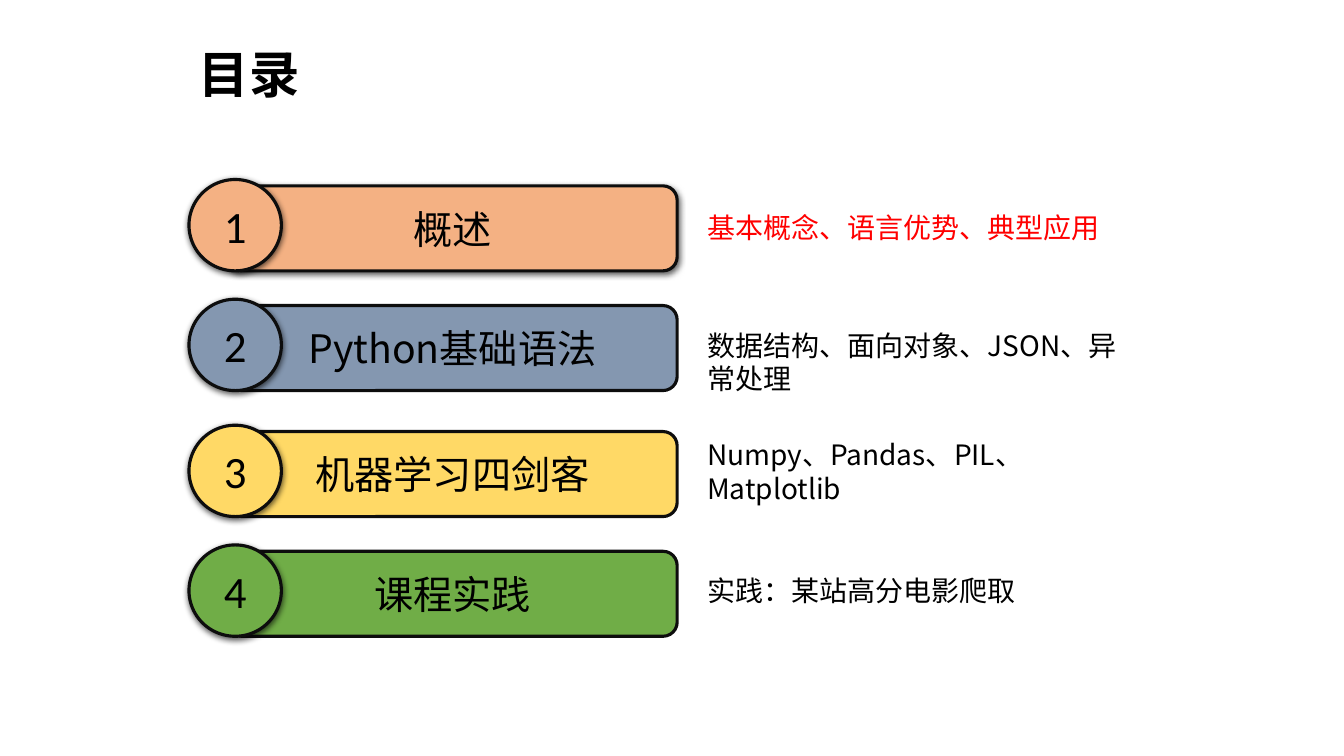
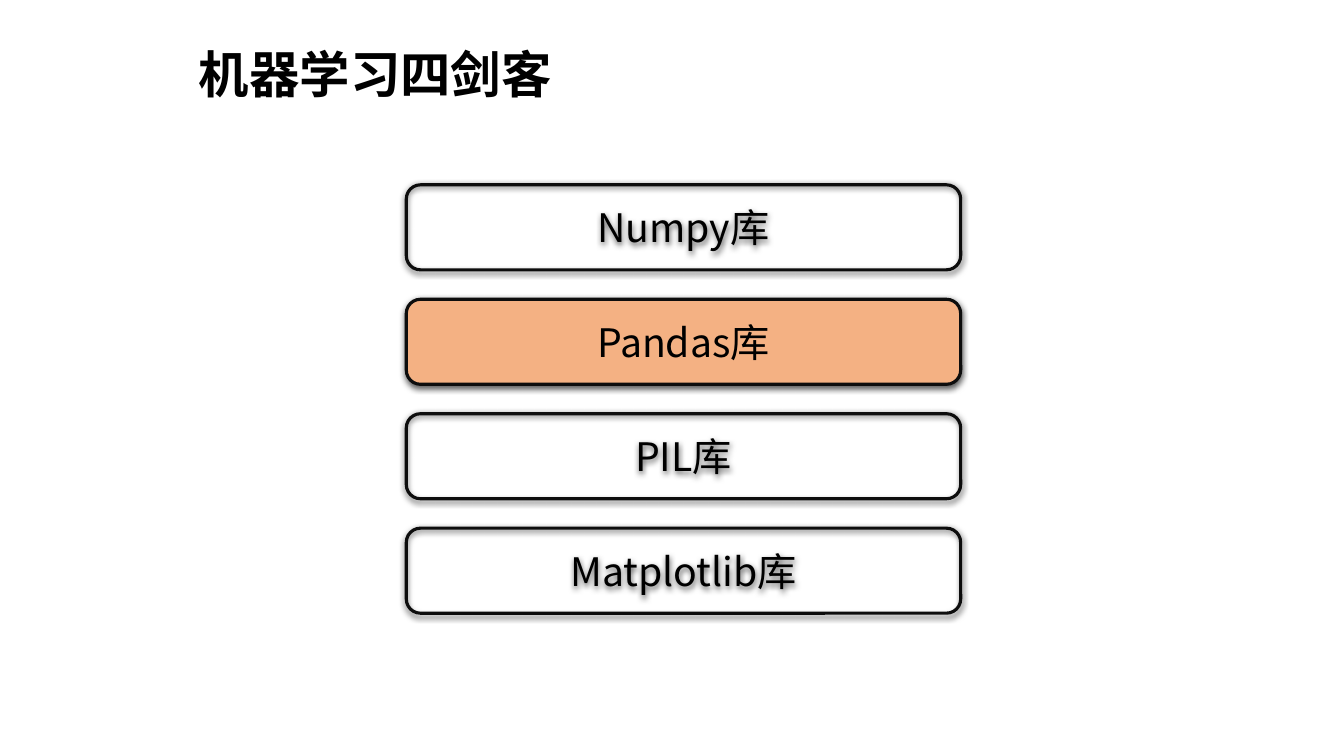
from dataclasses import dataclass

from lxml import etree
from pptx import Presentation
from pptx.dml.color import RGBColor
from pptx.enum.shapes import MSO_SHAPE
from pptx.enum.text import MSO_ANCHOR, MSO_AUTO_SIZE, PP_ALIGN
from pptx.oxml.ns import qn
from pptx.util import Pt

ROUND_RECT = MSO_SHAPE.ROUNDED_RECTANGLE
OVAL = MSO_SHAPE.OVAL
MIDDLE = MSO_ANCHOR.MIDDLE
GROW = MSO_AUTO_SIZE.SHAPE_TO_FIT_TEXT
CENTER = PP_ALIGN.CENTER

PX = 9525  # EMU per px, 96 px to the inch
SLIDE_W, SLIDE_H = 1280, 720
BAR_H = 81

CJK_FONT = "Noto Sans CJK SC"
NUMBER_FONT = "Calibri"
COLORS = {
    "text": "000000",
    "accent": "FF0000",
    "outline": "0D0D0D",
    "shadow": "000000",
    "orange": "F4B183",
    "slate": "8497B0",
    "yellow": "FFD966",
    "green": "70AD47",
}


@dataclass(frozen=True)
class Box:
    left: int
    top: int
    width: int
    height: int

    def emu(self) -> list[int]:
        return [v * PX for v in (self.left, self.top, self.width, self.height)]


@dataclass(frozen=True)
class Chapter:
    name: str
    topics: str
    fill: str
    top: int
    topics_top: int
    topics_height: int
    topics_color: str = "text"
    bar_shadow: bool = False


CHAPTERS = [
    Chapter("概述", "基本概念、语言优势、典型应用", "orange", 177, 196, 42,
            topics_color="accent", bar_shadow=True),
    Chapter("Python基础语法", "数据结构、面向对象、JSON、异常处理", "slate", 291, 308, 74),
    Chapter("机器学习四剑客", "Numpy、Pandas、PIL、 Matplotlib", "yellow", 411, 412, 74),
    Chapter("课程实践", "实践：某站高分电影爬取", "green", 525, 541, 42),
]
LIBRARIES = ["Numpy库", "Pandas库", "PIL库", "Matplotlib库"]
CURRENT_LIBRARY = "Pandas库"


def rgb(name: str) -> RGBColor:
    return RGBColor.from_string(COLORS[name])


def write(tf, text: str, size: int, color: str = "text",
          font: str = CJK_FONT, bold: bool = False) -> None:
    """Put one formatted paragraph in a text frame."""
    tf.word_wrap = True
    tf.text = text
    for r in tf.paragraphs[0].runs:
        r.font.size = Pt(size)
        r.font.name = font
        r.font.bold = bold
        r.font.color.rgb = rgb(color)
        ea = etree.SubElement(r.font._element, qn("a:ea"))
        ea.set("typeface", font)


def add_text(slide, box: Box, text: str, size: int, color: str = "text",
             bold: bool = False) -> None:
    tf = slide.shapes.add_textbox(*box.emu()).text_frame
    write(tf, text, size, color, bold=bold)
    tf.auto_size = GROW


def add_title(slide, text: str, width: int) -> None:
    add_text(slide, Box(180, 36, width, 68), text, 36, bold=True)


def add_shadow(sp) -> None:
    """Give a shape a soft shadow falling straight down."""
    effects = sp._element.spPr.find(qn("a:effectLst"))
    shadow = etree.SubElement(effects, qn("a:outerShdw"), blurRad=str(Pt(4.5)),
                              dist=str(Pt(1.5)), dir="5400000", algn="ctr",
                              rotWithShape="0")
    color = etree.SubElement(shadow, qn("a:srgbClr"), val=COLORS["shadow"])
    etree.SubElement(color, qn("a:alpha"), val="63000")


def add_outlined(slide, kind, box: Box, text: str, size: int = 28,
                 fill: str | None = None, shadow: bool = True,
                 font: str = CJK_FONT) -> None:
    """Draw a dark-outlined shape with centred text; no fill name leaves it clear."""
    sp = slide.shapes.add_shape(kind, *box.emu())
    if fill:
        sp.fill.solid()
        sp.fill.fore_color.rgb = rgb(fill)
    else:
        sp.fill.background()
    sp.line.color.rgb = rgb("outline")
    sp.line.width = Pt(2.25)
    sp.shadow.inherit = False
    if shadow:
        add_shadow(sp)
    tf = sp.text_frame
    tf.vertical_anchor = MIDDLE
    write(tf, text, size, font=font)
    tf.paragraphs[0].alignment = CENTER


def add_chapter(slide, number: int, chapter: Chapter) -> None:
    add_outlined(slide, ROUND_RECT, Box(217, chapter.top, 428, BAR_H), chapter.name,
                 fill=chapter.fill, shadow=chapter.bar_shadow)
    add_outlined(slide, OVAL, Box(180, chapter.top - 6, 88, 87), str(number), 32,
                 fill=chapter.fill, font=NUMBER_FONT)
    add_text(slide, Box(664, chapter.topics_top, 415, chapter.topics_height),
             chapter.topics, 20, chapter.topics_color)


def build_contents(slide) -> None:
    add_title(slide, "目录", 122)
    for number, chapter in enumerate(CHAPTERS, 1):
        add_chapter(slide, number, chapter)


def build_libraries(slide) -> None:
    add_title(slide, "机器学习四剑客", 396)
    top, pitch = 176, 109
    for i, name in enumerate(LIBRARIES):
        add_outlined(slide, ROUND_RECT, Box(387, top + i * pitch, 528, BAR_H), name,
                     fill="orange" if name == CURRENT_LIBRARY else None)


def main() -> None:
    prs = Presentation()
    prs.slide_width = SLIDE_W * PX
    prs.slide_height = SLIDE_H * PX
    blank = prs.slide_layouts[6]
    for build in (build_contents, build_libraries):
        build(prs.slides.add_slide(blank))
    prs.save("out.pptx")


if __name__ == "__main__":
    main()
